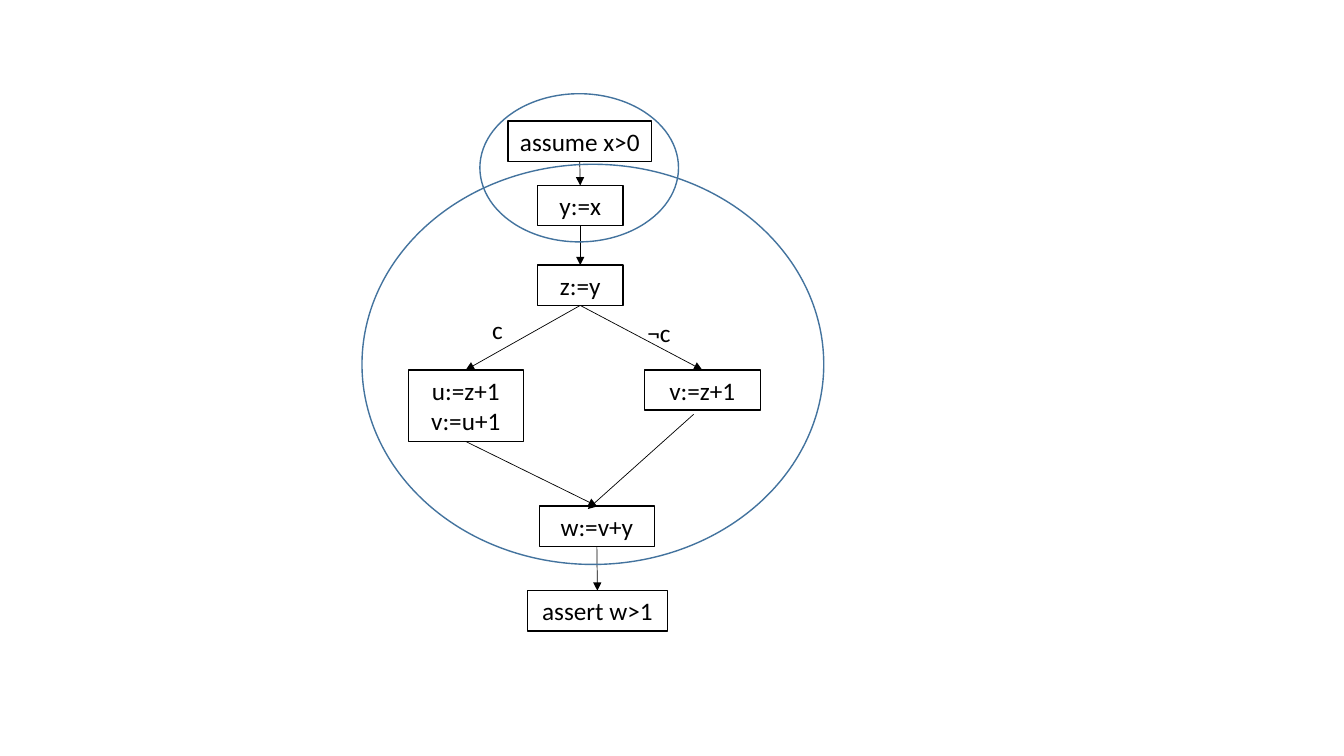
from dataclasses import dataclass

from lxml import etree
from pptx import Presentation
from pptx.dml.color import RGBColor
from pptx.enum.shapes import MSO_CONNECTOR, MSO_SHAPE
from pptx.enum.text import MSO_ANCHOR, PP_ALIGN
from pptx.oxml.ns import qn
from pptx.shapes.autoshape import Shape
from pptx.shapes.connector import Connector
from pptx.slide import Slide
from pptx.util import Inches, Pt

RECT = MSO_SHAPE.RECTANGLE
OVAL = MSO_SHAPE.OVAL
STRAIGHT = MSO_CONNECTOR.STRAIGHT
CENTER = PP_ALIGN.CENTER
MIDDLE = MSO_ANCHOR.MIDDLE
BLANK = 6
TOP, BOTTOM = 0, 2
ROW = 0.4
COLORS = {"ink": "000000", "paper": "FFFFFF", "ring": "43739E"}


@dataclass(frozen=True)
class Node:
    name: str
    lines: tuple[str, ...]
    left: float
    top: float
    width: float
    height: float = ROW


@dataclass(frozen=True)
class Edge:
    start: str
    end: str


@dataclass(frozen=True)
class Label:
    text: str
    left: float
    top: float


@dataclass(frozen=True)
class Ring:
    left: float
    top: float
    width: float
    height: float


NODES = (
    Node("assume", ("assume x>0",), 5.04, 1.2, 1.42),
    Node("y", ("y:=x",), 5.33, 1.84, 0.85),
    Node("z", ("z:=y",), 5.33, 2.63, 0.85),
    Node("u", ("u:=z+1", "v:=u+1"), 4.05, 3.67, 1.14, 0.71),
    Node("v", ("v:=z+1",), 6.39, 3.67, 1.15),
    Node("w", ("w:=v+y",), 5.35, 5.02, 1.14),
    Node("assert", ("assert w>1",), 5.23, 5.86, 1.39),
)
EDGES = (
    Edge("assume", "y"),
    Edge("y", "z"),
    Edge("z", "v"),
    Edge("z", "u"),
    Edge("u", "w"),
    Edge("w", "assert"),
)
LABELS = (Label("c", 4.51, 3.07), Label("¬c", 6.11, 3.1))
RINGS = (Ring(4.76, 0.93, 1.97, 1.47), Ring(3.59, 1.63, 4.58, 3.97))


def get_color(name: str) -> RGBColor:
    return RGBColor.from_string(COLORS[name])


def add_text(shape: Shape, lines: tuple[str, ...]) -> None:
    frame = shape.text_frame
    frame.word_wrap = False
    frame.vertical_anchor = MIDDLE
    for index, line in enumerate(lines):
        para = frame.add_paragraph() if index else frame.paragraphs[0]
        para.alignment = CENTER
        run = para.add_run()
        run.text = line
        run.font.name = "Calibri"
        run.font.size = Pt(18)
        run.font.color.rgb = get_color("ink")


def add_node(slide: Slide, node: Node) -> Shape:
    box = slide.shapes.add_shape(
        RECT, Inches(node.left), Inches(node.top), Inches(node.width), Inches(node.height)
    )
    box.shadow.inherit = False
    box.fill.solid()
    box.fill.fore_color.rgb = get_color("paper")
    box.line.color.rgb = get_color("ink")
    box.line.width = Pt(1)
    add_text(box, node.lines)
    return box


def add_arrow(slide: Slide, left: int, top: int, right: int, bottom: int) -> Connector:
    arrow = slide.shapes.add_connector(STRAIGHT, left, top, right, bottom)
    arrow.line.color.rgb = get_color("ink")
    arrow.line.width = Pt(0.5)
    etree.SubElement(arrow.line._get_or_add_ln(), qn("a:tailEnd"), type="triangle")
    etree.SubElement(arrow._element.spPr, qn("a:effectLst"))
    return arrow


def add_edge(slide: Slide, start: Shape, end: Shape) -> None:
    arrow = add_arrow(
        slide,
        start.left + start.width // 2,
        start.top + start.height,
        end.left + end.width // 2,
        end.top,
    )
    arrow.begin_connect(start, BOTTOM)
    arrow.end_connect(end, TOP)


def add_label(slide: Slide, label: Label) -> None:
    box = slide.shapes.add_textbox(
        Inches(label.left), Inches(label.top), Inches(0.85), Inches(ROW)
    )
    add_text(box, (label.text,))


def add_ring(slide: Slide, ring: Ring) -> None:
    oval = slide.shapes.add_shape(
        OVAL, Inches(ring.left), Inches(ring.top), Inches(ring.width), Inches(ring.height)
    )
    oval.shadow.inherit = False
    oval.fill.background()
    oval.line.color.rgb = get_color("ring")
    oval.line.width = Pt(1)


def main() -> None:
    deck = Presentation()
    deck.slide_width = Inches(13.33)
    deck.slide_height = Inches(7.5)
    slide = deck.slides.add_slide(deck.slide_layouts[BLANK])
    boxes = {node.name: add_node(slide, node) for node in NODES}
    for edge in EDGES:
        add_edge(slide, boxes[edge.start], boxes[edge.end])
    add_arrow(slide, Inches(6.88), Inches(4.11), Inches(5.83), Inches(5.05))
    for label in LABELS:
        add_label(slide, label)
    for ring in RINGS:
        add_ring(slide, ring)
    deck.save("out.pptx")


if __name__ == "__main__":
    main()
